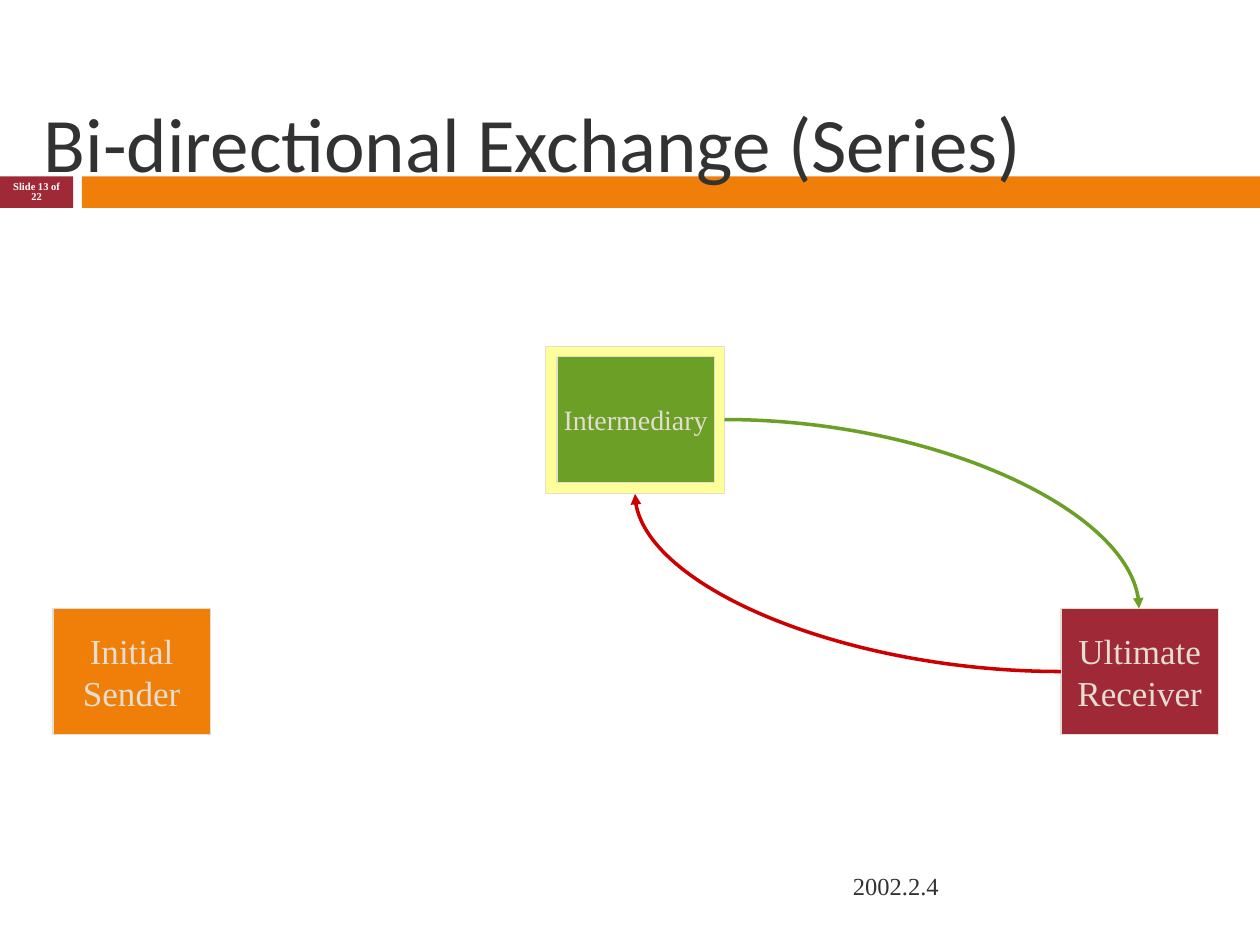
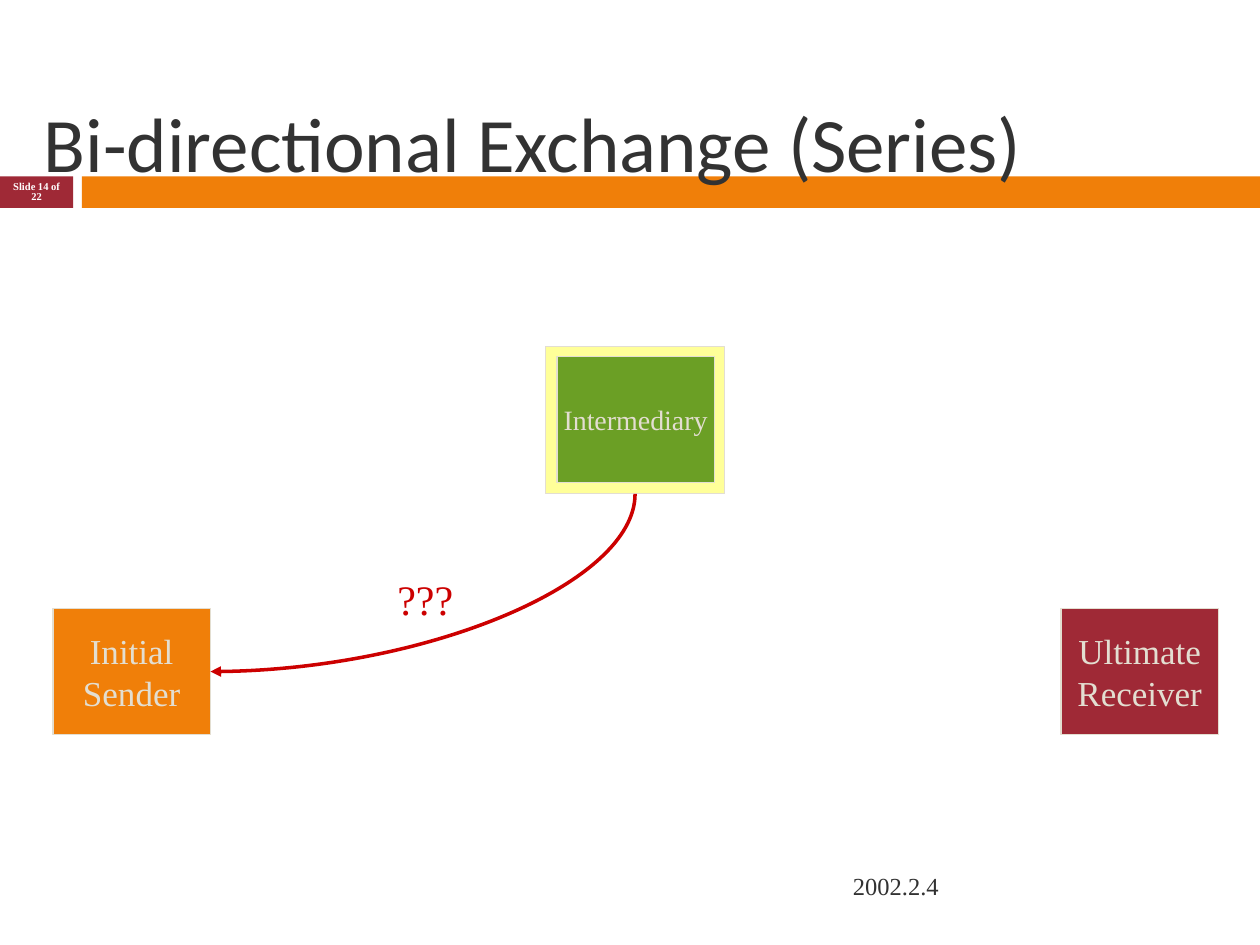
from lxml.etree import SubElement
from pptx import Presentation
from pptx.dml.color import RGBColor
from pptx.enum.shapes import MSO_CONNECTOR, MSO_SHAPE
from pptx.enum.text import MSO_ANCHOR, PP_ALIGN
from pptx.oxml.ns import qn
from pptx.util import Inches, Pt

COLORS = {
    "text": "323232", "white": "FFFFFF", "cream": "E3DED1",
    "orange": "F07F09", "crimson": "9F2936", "green": "6B9F25",
    "yellow": "FFFF99", "red": "CC0000",
}
SERIF, SANS = "Times New Roman", "Calibri"
TOTAL_SLIDES = 22
NODE_W, NODE_H = 1.25, 1

# Points where arrows meet the boxes
INTERMEDIARY_RIGHT, INTERMEDIARY_BOTTOM = (5.75, 3.33), (5.04, 3.92)
RECEIVER_TOP, RECEIVER_LEFT = (9.04, 4.83), (8.42, 5.33)
SENDER_RIGHT = (1.67, 5.33)


def rgb(name):
    return RGBColor.from_string(COLORS[name])


def write(sp, text, size, color, font=SERIF, align=PP_ALIGN.LEFT,
          bold=False, wrap=True, spacing=None):
    tf = sp.text_frame
    tf.word_wrap = wrap
    tf.vertical_anchor = MSO_ANCHOR.MIDDLE
    p = tf.paragraphs[0]
    p.alignment = align
    if spacing:
        p.line_spacing = spacing
    for i, line in enumerate(text.split("\n")):
        if i:
            p.add_line_break()
        r = p.add_run()
        r.text = line
        r.font.name, r.font.size, r.font.bold = font, Pt(size), bold
        r.font.color.rgb = rgb(color)


def add_text(s, x, y, w, h, text, size, color, **style):
    sp = s.shapes.add_textbox(Inches(x), Inches(y), Inches(w), Inches(h))
    write(sp, text, size, color, **style)


def add_box(s, x, y, w, h, fill, line=None):
    sp = s.shapes.add_shape(MSO_SHAPE.RECTANGLE, Inches(x), Inches(y),
                            Inches(w), Inches(h))
    sp.shadow.inherit = False
    sp.fill.solid()
    sp.fill.fore_color.rgb = rgb(fill)
    if line:
        sp.line.color.rgb = rgb(line)
        sp.line.width = Pt(0.75)
    else:
        sp.line.fill.background()
    return sp


def add_node(s, x, y, text, fill, size=20):
    sp = add_box(s, x, y, NODE_W, NODE_H, fill, "cream")
    write(sp, text, size, "cream", align=PP_ALIGN.CENTER, wrap=False)


def add_arc_arrow(s, start, end, color, down_first=False):
    """Quarter curve that leaves sideways, or downwards to the left."""
    (x1, y1), (x2, y2) = start, end
    if down_first:
        # The frame is the upright one before its quarter turn
        cx, cy = (x1 + x2) / 2, (y1 + y2) / 2
        half_w, half_h = abs(y2 - y1) / 2, abs(x2 - x1) / 2
        x1, y1, x2, y2 = cx - half_w, cy - half_h, cx + half_w, cy + half_h
    c = s.shapes.add_connector(MSO_CONNECTOR.CURVE, Inches(x1), Inches(y1),
                               Inches(x2), Inches(y2))
    c.line.color.rgb = rgb(color)
    c.line.width = Pt(2)
    spPr = c._element.spPr
    spPr.find(qn("a:prstGeom")).set("prst", "curvedConnector2")
    if down_first:
        spPr.find(qn("a:xfrm")).set("rot", str(90 * 60000))
    SubElement(spPr.find(qn("a:ln")), qn("a:tailEnd"), type="triangle")
    SubElement(spPr, qn("a:effectLst"))


def add_exchange_slide(prs, number):
    s = prs.slides.add_slide(prs.slide_layouts[6])
    # Band, title, date and slide number
    add_box(s, 0, 1.4, 0.58, 0.25, "crimson")
    add_box(s, 0.65, 1.4, 9.35, 0.25, "orange")
    add_text(s, 0.25, 0.5, 8.83, 1.25, "Bi-directional Exchange (Series)",
             44, "text", font=SANS)
    add_text(s, 6.67, 6.83, 2.92, 0.4, "2002.2.4", 14, "text")
    add_text(s, 0, 1.39, 0.58, 0.27, f"Slide {number} of {TOTAL_SLIDES}",
             6, "white", align=PP_ALIGN.CENTER, bold=True, spacing=0.8)
    # The three parties, with the intermediary highlighted
    add_box(s, 4.33, 2.75, 1.42, 1.17, "yellow", "cream")
    add_node(s, 0.42, 4.83, "Initial\nSender", "orange")
    add_node(s, 8.42, 4.83, "Ultimate\nReceiver", "crimson")
    add_node(s, 4.42, 2.83, "Intermediary", "green", size=16)
    return s


def main():
    prs = Presentation()
    prs.slide_width, prs.slide_height = Inches(10), Inches(7.5)

    # Intermediary and receiver exchange messages
    s = add_exchange_slide(prs, 13)
    add_arc_arrow(s, INTERMEDIARY_RIGHT, RECEIVER_TOP, "green")
    add_arc_arrow(s, RECEIVER_LEFT, INTERMEDIARY_BOTTOM, "red")

    # Open question: the reply to the sender
    s = add_exchange_slide(prs, 14)
    add_arc_arrow(s, INTERMEDIARY_BOTTOM, SENDER_RIGHT, "red", down_first=True)
    add_text(s, 2.75, 4.5, 1.25, 0.5, "???", 24, "red",
             align=PP_ALIGN.CENTER, wrap=False)

    prs.save("out.pptx")


if __name__ == "__main__":
    main()
